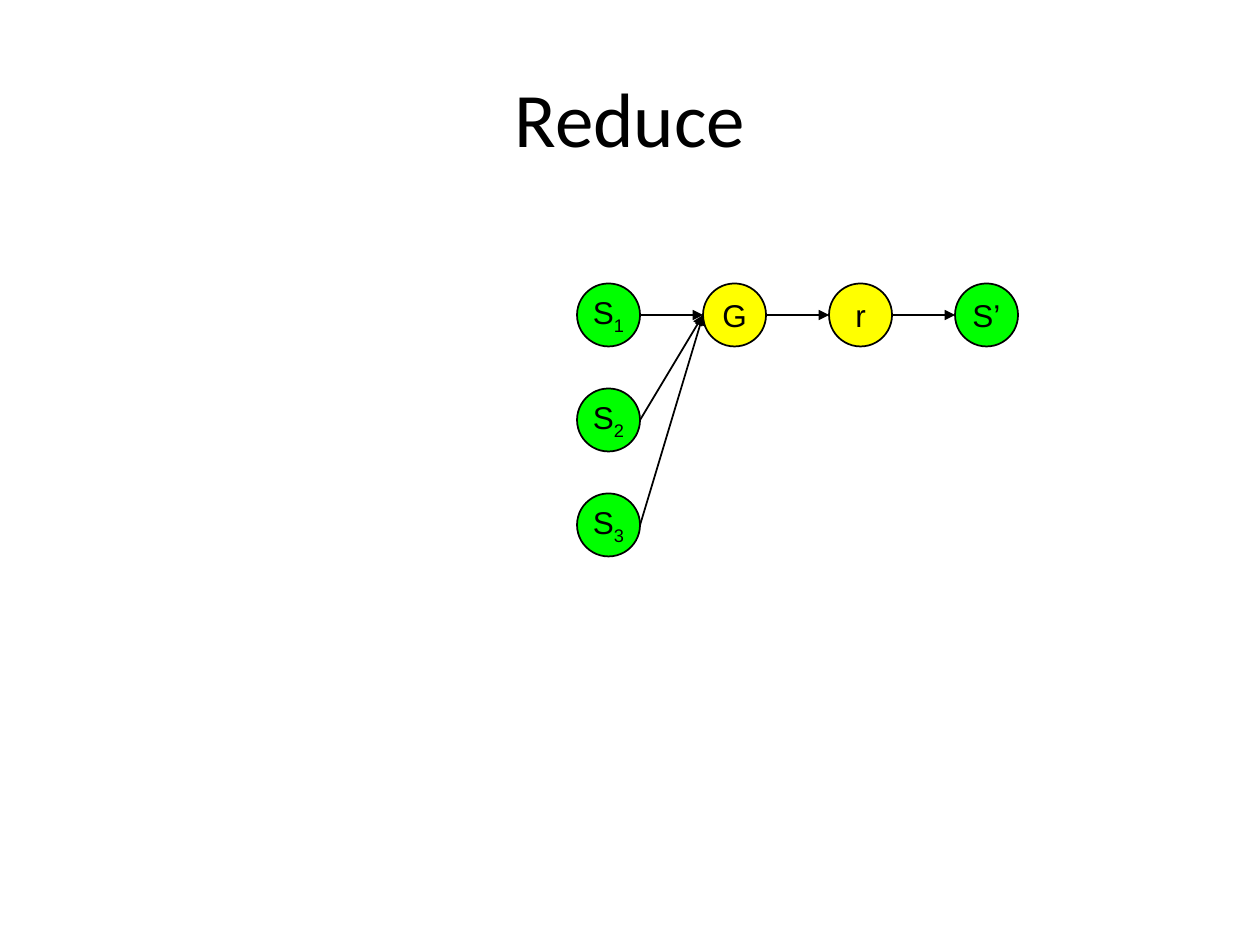
from pptx import Presentation
from pptx.dml.color import RGBColor
from pptx.enum.shapes import MSO_CONNECTOR, MSO_SHAPE
from pptx.enum.text import MSO_ANCHOR, PP_ALIGN
from pptx.oxml.ns import qn
from pptx.util import Inches, Pt
from lxml.etree import SubElement

TITLE = "Reduce"
# name: (letter, subscript, colour, column, row)
NODES = {
    "source 1": ("S", "1", "state", 0, 0),
    "source 2": ("S", "2", "state", 0, 1),
    "source 3": ("S", "3", "state", 0, 2),
    "gather": ("G", "", "step", 1, 0),
    "reduce": ("r", "", "step", 2, 0),
    "result": ("S’", "", "state", 3, 0),
}
ARROWS = [
    ("source 1", "gather"),
    ("source 2", "gather"),
    ("source 3", "gather"),
    ("gather", "reduce"),
    ("reduce", "result"),
]
THEME = {
    "ink": RGBColor(0, 0, 0),
    "state": RGBColor(0, 255, 0),
    "step": RGBColor(255, 255, 0),
    "title": ("Calibri", Pt(44)),
    "label": ("Arial", Pt(18)),
    "line": Pt(1),
}
LEFT, TOP = 4.58, 2.25
COLUMN_STEP, ROW_STEP = 1, 2.5 / 3
DIAMETER = 0.5


def node_position(name):
    """Return the left and top of a node, in inches."""
    column, row = NODES[name][3:]
    return LEFT + column * COLUMN_STEP, TOP + row * ROW_STEP


def write_text(shape, style, text, subscript=""):
    """Write centred text with an optional subscript run."""
    frame = shape.text_frame
    frame.vertical_anchor = MSO_ANCHOR.MIDDLE
    paragraph = frame.paragraphs[0]
    paragraph.alignment = PP_ALIGN.CENTER
    for content, baseline in ((text, None), (subscript, "-25000")):
        if not content:
            continue
        run = paragraph.add_run()
        run.text = content
        run.font.name, run.font.size = THEME[style]
        run.font.color.rgb = THEME["ink"]
        if baseline:
            run.font._element.set("baseline", baseline)


def add_title(slide):
    """Add the slide title."""
    shape = slide.shapes.add_textbox(Inches(0.5), Inches(0.3), Inches(9), Inches(1.25))
    shape.text_frame.word_wrap = True
    write_text(shape, "title", TITLE)


def add_node(slide, name):
    """Add one labelled circle."""
    letter, subscript, colour = NODES[name][:3]
    left, top = node_position(name)
    shape = slide.shapes.add_shape(
        MSO_SHAPE.OVAL, Inches(left), Inches(top), Inches(DIAMETER), Inches(DIAMETER)
    )
    shape.shadow.inherit = False
    shape.fill.solid()
    shape.fill.fore_color.rgb = THEME[colour]
    shape.line.color.rgb = THEME["ink"]
    shape.line.width = THEME["line"]
    frame = shape.text_frame
    frame.word_wrap = False
    frame.margin_left = frame.margin_right = frame.margin_top = frame.margin_bottom = 0
    write_text(shape, "label", letter, subscript)


def add_arrow(slide, start, end):
    """Add an arrow from the right of one node to the left of another."""
    start_left, start_top = node_position(start)
    end_left, end_top = node_position(end)
    connector = slide.shapes.add_connector(
        MSO_CONNECTOR.STRAIGHT,
        Inches(start_left + DIAMETER),
        Inches(start_top + DIAMETER / 2),
        Inches(end_left),
        Inches(end_top + DIAMETER / 2),
    )
    connector.line.color.rgb = THEME["ink"]
    connector.line.width = THEME["line"]
    properties = connector._element.spPr
    SubElement(properties.find(qn("a:ln")), qn("a:tailEnd"), type="triangle", w="med", len="med")
    SubElement(properties, qn("a:effectLst"))


def main():
    """Build and save the slide."""
    presentation = Presentation()
    presentation.slide_width, presentation.slide_height = Inches(10), Inches(7.5)
    slide = presentation.slides.add_slide(presentation.slide_layouts[6])
    add_title(slide)
    for name in NODES:
        add_node(slide, name)
    for start, end in ARROWS:
        add_arrow(slide, start, end)
    presentation.save("out.pptx")


if __name__ == "__main__":
    main()
